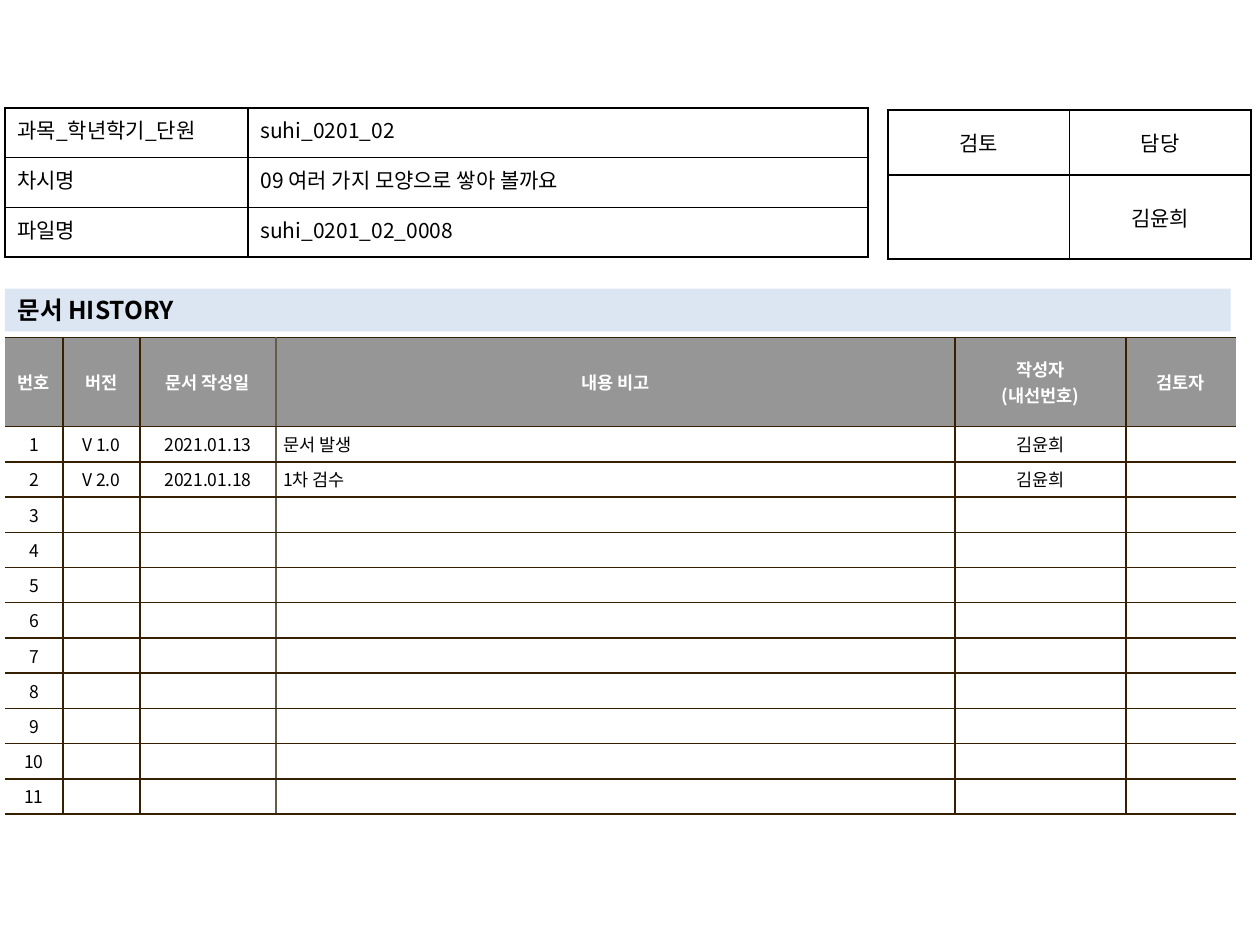
from lxml.etree import SubElement
from pptx import Presentation
from pptx.dml.color import RGBColor
from pptx.enum.text import MSO_ANCHOR, MSO_AUTO_SIZE, PP_ALIGN
from pptx.oxml.ns import qn
from pptx.util import Cm, Pt

FONT = "Noto Sans CJK KR"
BLACK, WHITE, BROWN, TAUPE = "000000", "FFFFFF", "362000", "645B4C"
HEADER_GRAY, TITLE_BLUE = "969696", "DCE6F2"
LEFT, CENTER, JUSTIFY = PP_ALIGN.LEFT, PP_ALIGN.CENTER, PP_ALIGN.JUSTIFY

TITLE = "문서 HISTORY"
LESSON_ROWS = [
    ["과목_학년학기_단원", "suhi_0201_02"],
    ["차시명", "09 여러 가지 모양으로 쌓아 볼까요"],
    ["파일명", "suhi_0201_02_0008"],
]
APPROVAL_ROWS = [["검토", "담당"], ["", "김윤희"]]
HISTORY_HEADER = ["번호", "버전", "문서 작성일", "내용 비고", "작성자\n(내선번호)", "검토자"]
HISTORY_ENTRIES = [
    ["V 1.0", "2021.01.13", "문서 발생", "김윤희", ""],
    ["V 2.0", "2021.01.18", "1차 검수", "김윤희", ""],
]
HISTORY_LENGTH = 11
DATE_COLUMN, NOTE_COLUMN = 2, 3


def rgb(value):
    return RGBColor.from_string(value)


def paint(shape, color):
    shape.fill.solid()
    shape.fill.fore_color.rgb = rgb(color)


def add_run(paragraph, text, size, color, bold):
    run = paragraph.add_run()
    run.text = text
    run.font.size = Pt(size)
    run.font.bold = bold
    run.font.name = FONT
    run.font.color.rgb = rgb(color)
    SubElement(run.font._element, qn("a:ea"), typeface=FONT)


def write(frame, text, size, color=BLACK, bold=False, align=LEFT):
    for index, line in enumerate(text.split("\n")):
        paragraph = frame.paragraphs[0] if index == 0 else frame.add_paragraph()
        paragraph.alignment = align
        if line:
            add_run(paragraph, line, size, color, bold)
        else:
            SubElement(paragraph._p, qn("a:endParaRPr"), sz=str(size * 100))


def set_borders(cell, colors):
    properties = cell._tc.get_or_add_tcPr()
    for side in "LRTB":
        line = SubElement(properties, qn(f"a:ln{side}"), w=str(Pt(1)))
        if colors[side]:
            fill = SubElement(line, qn("a:solidFill"))
            SubElement(fill, qn("a:srgbClr"), val=colors[side])
        else:
            SubElement(line, qn("a:noFill"))


def add_grid(slide, left, top, widths, heights, margins):
    frame = slide.shapes.add_table(
        len(heights), len(widths), Cm(left), Cm(top), Cm(sum(widths)), Cm(sum(heights))
    )
    table = frame.table
    table.first_row = table.horz_banding = False
    for column, width in zip(table.columns, widths):
        column.width = Cm(width)
    for row, height in zip(table.rows, heights):
        row.height = Cm(height)
    for cell in table.iter_cells():
        cell.margin_left = cell.margin_right = Cm(margins[0])
        cell.margin_top = cell.margin_bottom = Cm(margins[1])
    return table


def add_form(slide, left, top, widths, heights, rows, aligns, anchor):
    table = add_grid(slide, left, top, widths, heights, (0.25, 0.13))
    for row_index, row in enumerate(rows):
        for column_index, text in enumerate(row):
            cell = table.cell(row_index, column_index)
            cell.vertical_anchor = anchor
            set_borders(cell, dict.fromkeys("LRTB", BLACK))
            cell.fill.background()
            write(cell.text_frame, text, 12, align=aligns[column_index])


def add_history(slide):
    widths = [1.17, 1.55, 2.74, 13.69, 3.45, 2.21]
    heights = [1.8] + [0.71] * HISTORY_LENGTH
    table = add_grid(slide, 0.1, 6.8, widths, heights, (0.15, 0.1))
    blank = [""] * (len(widths) - 1)
    entries = HISTORY_ENTRIES + [blank] * (HISTORY_LENGTH - len(HISTORY_ENTRIES))
    rows = [HISTORY_HEADER] + [[str(n), *entry] for n, entry in enumerate(entries, 1)]
    edges = [BROWN] * (len(widths) + 1)
    edges[0] = edges[-1] = None
    edges[NOTE_COLUMN] = TAUPE
    for row_index, row in enumerate(rows):
        header = row_index == 0
        for column_index, text in enumerate(row):
            cell = table.cell(row_index, column_index)
            cell.vertical_anchor = MSO_ANCHOR.MIDDLE
            left_edge, right_edge = edges[column_index:column_index + 2]
            set_borders(cell, {"L": left_edge, "R": right_edge, "T": BROWN, "B": BROWN})
            paint(cell, HEADER_GRAY if header else WHITE)
            align = LEFT if column_index == NOTE_COLUMN and not header else CENTER
            write(cell.text_frame, text, 10, WHITE if header else BLACK, header, align)


def add_title(slide):
    title = slide.shapes.title
    title.left, title.top, title.width, title.height = Cm(0.1), Cm(5.82), Cm(24.71), Cm(0.86)
    paint(title, TITLE_BLUE)
    frame = title.text_frame
    frame.word_wrap = True
    frame.auto_size = MSO_AUTO_SIZE.NONE
    frame.vertical_anchor = MSO_ANCHOR.MIDDLE
    write(frame, TITLE, 14, bold=True)


def main():
    presentation = Presentation()
    presentation.slide_width, presentation.slide_height = Cm(25.4), Cm(19.05)
    slide = presentation.slides.add_slide(presentation.slide_layouts[5])
    add_history(slide)
    add_form(slide, 17.9, 2.22, [3.66, 3.66], [1.31, 1.69],
             APPROVAL_ROWS, [CENTER, CENTER], MSO_ANCHOR.MIDDLE)
    add_title(slide)
    add_form(slide, 0.1, 2.18, [4.9, 12.5], [1] * len(LESSON_ROWS),
             LESSON_ROWS, [JUSTIFY, LEFT], MSO_ANCHOR.TOP)
    presentation.save("out.pptx")


if __name__ == "__main__":
    main()
